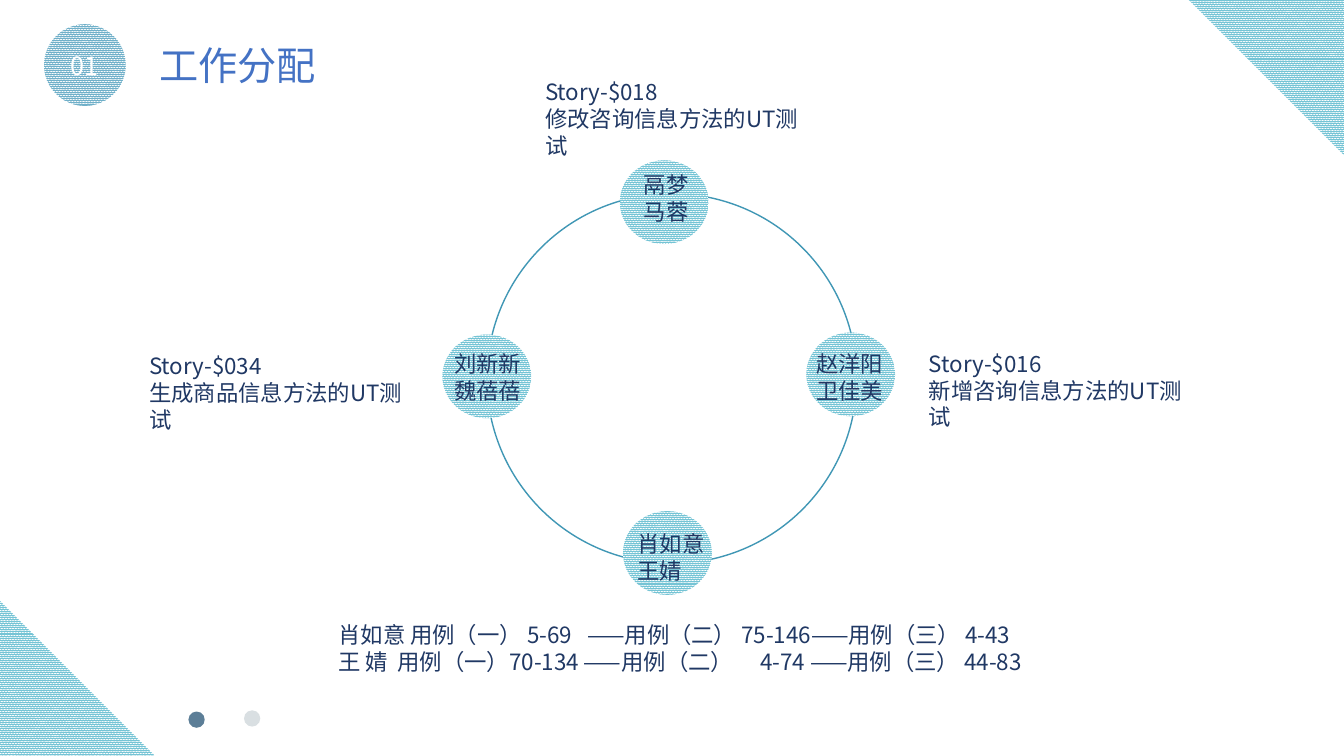
from lxml import etree
from pptx import Presentation
from pptx import util as u
from pptx.dml.color import RGBColor
from pptx.enum import dml, shapes, text
from pptx.oxml.ns import qn

FONT = "Noto Sans CJK SC"
COLORS = {
    "navy": "203864",
    "title": "4472C4",
    "ring": "4097B5",
    "aqua": "75C4D5",
    "badge": "70B0C9",
    "white": "FFFFFF",
    "active": "5C7E97",
    "idle": "D9DFE2",
}
SLIDE_WIDTH, SLIDE_HEIGHT = 33.87, 19.05
NODE_WIDTH, NODE_HEIGHT = 2.24, 2.11
TEXT_HEIGHT = 1.63

NODES = [
    {"at": (3.35, -0.84), "names": ["鬲梦", "马蓉"], "names_at": (0.36, 0.15),
     "story": ["Story-$018", "修改咨询信息方法的UT测试"], "story_at": (-2.13, -2.19)},
    {"at": (8.05, 3.5), "names": ["赵洋阳", "卫佳美"], "names_at": (0, 0.33),
     "story": ["Story-$016", "新增咨询信息方法的UT测试"], "story_at": (2.84, 0.31)},
    {"at": (3.43, 8), "names": ["肖如意", "王婧"], "names_at": (0.12, 0.35)},
    {"at": (-1.12, 3.55), "names": ["刘新新", "魏蓓蓓"], "names_at": (0.05, 0.26),
     "story": ["Story-$034", "生成商品信息方法的UT测试"], "story_at": (-7.64, 0.33)},
]
CASES = [
    ("肖如意 用例（一） 5-69\t——用例（二） 75-146——用例（三） 4-43", [6.27]),
    ("王 婧\t用例（一）70-134 ——用例（二）\t4-74 ——用例（三） 44-83", [1.49, 10.63]),
]


def rgb(name):
    return RGBColor.from_string(COLORS[name])


def write(paragraph, content, size=16, color="navy", align=None, tabs=()):
    if tabs:
        tab_list = etree.SubElement(paragraph._p.get_or_add_pPr(), qn("a:tabLst"))
        for position in tabs:
            etree.SubElement(tab_list, qn("a:tab"), pos=str(u.Cm(position)), algn="l")
    if align is not None:
        paragraph.alignment = align
    run = paragraph.add_run()
    run.text = content
    run.font.size = u.Pt(size)
    run.font.color.rgb = rgb(color)
    run.font.name = FONT
    etree.SubElement(run._r.get_or_add_rPr(), qn("a:ea"), typeface=FONT)


def add_text(slide, box, lines, tabs=None, **style):
    shape = slide.shapes.add_textbox(*map(u.Cm, box))
    frame = shape.text_frame
    frame.word_wrap = True
    frame.auto_size = text.MSO_AUTO_SIZE.SHAPE_TO_FIT_TEXT
    for index, line in enumerate(lines):
        paragraph = frame.add_paragraph() if index else frame.paragraphs[0]
        write(paragraph, line, tabs=tabs[index] if tabs else (), **style)


def add_shape(parent, kind, box, fill=None, pattern=None, line=None):
    shape = parent.shapes.add_shape(kind, *map(u.Cm, box))
    shape.shadow.inherit = False
    if pattern:
        shape.fill.patterned()
        shape.fill.pattern = dml.MSO_PATTERN.PERCENT_90
        shape.fill.fore_color.rgb = rgb(pattern)
        shape.fill.back_color.rgb = rgb("white")
    elif fill:
        shape.fill.solid()
        shape.fill.fore_color.rgb = rgb(fill)
    else:
        shape.fill.background()
    if line:
        shape.line.color.rgb = rgb(line)
        shape.line.width = u.Pt(1)
    else:
        shape.line.fill.background()
    return shape


def add_corners(slide, width, height, side=3.91):
    triangle = shapes.MSO_SHAPE.RIGHT_TRIANGLE
    add_shape(slide, triangle, (0, height - side, side, side), pattern="aqua")
    top_right = add_shape(slide, triangle, (width - side, 0, side, side), pattern="aqua")
    top_right.rotation = 180


def add_header(slide, left, top, size):
    badge = add_shape(slide, shapes.MSO_SHAPE.OVAL, (left, top, size, size), pattern="badge")
    badge.text_frame.vertical_anchor = text.MSO_ANCHOR.MIDDLE
    write(badge.text_frame.paragraphs[0], "01", size=18, color="white",
          align=text.PP_ALIGN.CENTER)
    add_text(slide, (left + 2.66, top + 0.3, 4.5, 1.45), ["工作分配"], size=28, color="title")


def add_ring(slide, left, top, size):
    oval = shapes.MSO_SHAPE.OVAL
    add_shape(slide, oval, (left, top, size, size), line="ring")
    for node in NODES:
        x, y = left + node["at"][0], top + node["at"][1]
        add_shape(slide, oval, (x, y, NODE_WIDTH, NODE_HEIGHT), pattern="aqua")
        dx, dy = node["names_at"]
        add_text(slide, (x + dx, y + dy, NODE_WIDTH, TEXT_HEIGHT), node["names"])
        if "story" in node:
            dx, dy = node["story_at"]
            add_text(slide, (x + dx, y + dy, 7.36, TEXT_HEIGHT), node["story"])


def add_cases(slide, left, top, width):
    lines, tabs = zip(*CASES)
    add_text(slide, (left, top, width, TEXT_HEIGHT), lines, tabs=tabs)


def add_pager(slide, left, top, size=0.41):
    group = slide.shapes.add_group_shape()
    for index, color in enumerate(["active", "idle"]):
        add_shape(group, shapes.MSO_SHAPE.OVAL,
                  (left + 1.4 * index, top - 0.03 * index, size, size), fill=color)


def main():
    presentation = Presentation()
    presentation.slide_width = u.Cm(SLIDE_WIDTH)
    presentation.slide_height = u.Cm(SLIDE_HEIGHT)
    slide = presentation.slides.add_slide(presentation.slide_layouts[6])
    add_corners(slide, SLIDE_WIDTH, SLIDE_HEIGHT)
    add_ring(slide, 12.27, 4.88, 9.32)
    add_cases(slide, 8.28, 15.52, 19.61)
    add_pager(slide, 4.75, 17.93)
    add_header(slide, 1.11, 0.61, 2.06)
    presentation.save("out.pptx")


if __name__ == "__main__":
    main()
